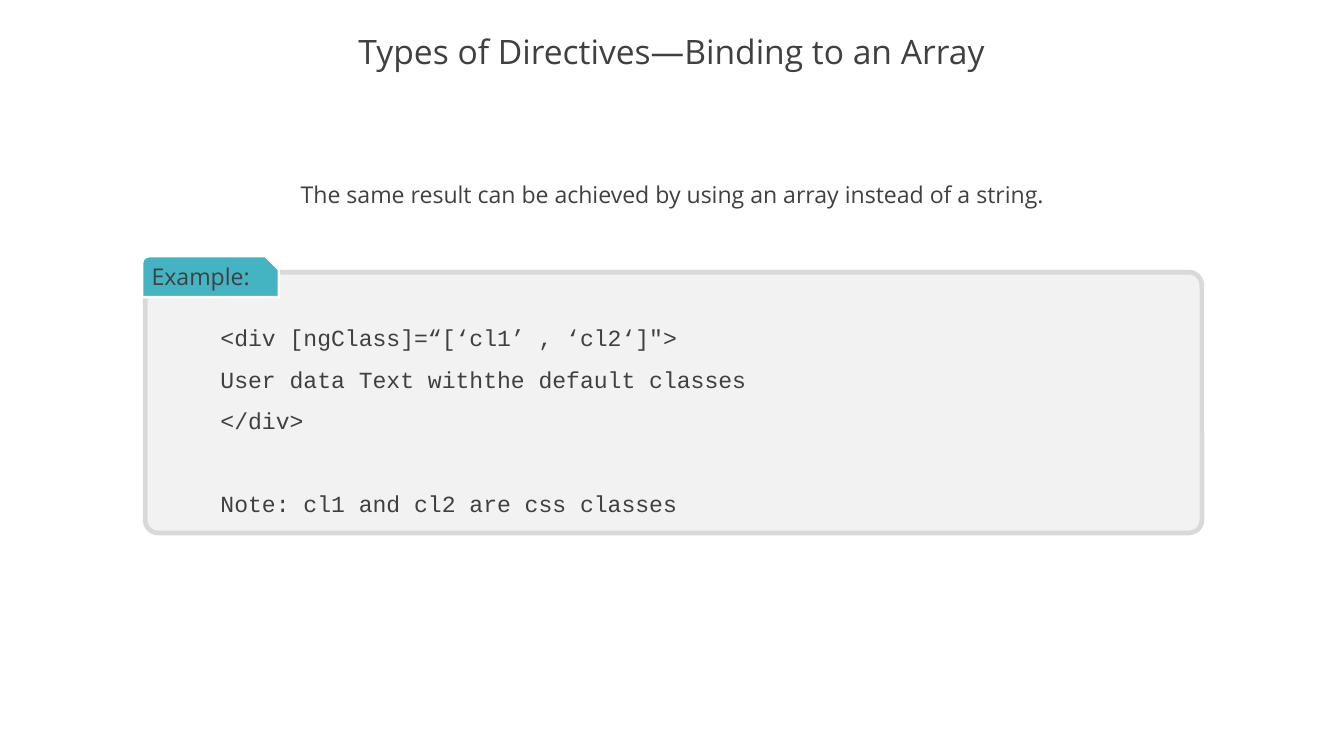
import pptx
import pptx.util
import pptx.dml.color
import pptx.enum.shapes
import pptx.enum.text

Inches = pptx.util.Inches
Pt = pptx.util.Pt
MSO_SHAPE = pptx.enum.shapes.MSO_SHAPE
PP_ALIGN = pptx.enum.text.PP_ALIGN
MSO_ANCHOR = pptx.enum.text.MSO_ANCHOR
colors = {"text": "404040", "panel": "F2F2F2", "border": "D9D9D9", "tab": "44B3C2", "white": "FFFFFF"}

presentation = pptx.Presentation()
presentation.slide_width = Inches(17.78)
presentation.slide_height = Inches(10)
slide = presentation.slides.add_slide(presentation.slide_layouts[6])


def add_box(kind, left, top, width, height, adjustments, fill=None, line=None, line_width=0):
    shape = slide.shapes.add_shape(kind, Inches(left), Inches(top), Inches(width), Inches(height))
    shape.shadow.inherit = False
    for index, value in enumerate(adjustments):
        shape.adjustments[index] = value
    if fill:
        shape.fill.solid()
        shape.fill.fore_color.rgb = pptx.dml.color.RGBColor.from_string(colors[fill])
    else:
        shape.fill.background()
    if line:
        shape.line.color.rgb = pptx.dml.color.RGBColor.from_string(colors[line])
        shape.line.width = Pt(line_width)
    else:
        shape.line.fill.background()
    return shape


def write_text(shape, text, size=22, font="Open Sans", align=PP_ALIGN.LEFT, anchor=MSO_ANCHOR.TOP, spacing=1.0):
    frame = shape.text_frame
    frame.text = text
    frame.vertical_anchor = anchor
    for paragraph in frame.paragraphs:
        paragraph.alignment = align
        paragraph.line_spacing = spacing
        for run in paragraph.runs:
            run.font.size = Pt(size)
            run.font.name = font
            run.font.color.rgb = pptx.dml.color.RGBColor.from_string(colors["text"])


title = slide.shapes.add_textbox(0, Inches(0.35), Inches(17.78), Inches(0.73))
title.text_frame.word_wrap = True
write_text(title, "Types of Directives—Binding to an Array", 32,
           align=PP_ALIGN.CENTER, anchor=MSO_ANCHOR.MIDDLE, spacing=0.9)

introduction = slide.shapes.add_textbox(Inches(3.81), Inches(2.34), Inches(10.17), Inches(0.47))
introduction.text_frame.word_wrap = False
write_text(introduction, "The same result can be achieved by using an array instead of a string.",
           align=PP_ALIGN.CENTER)

add_box(MSO_SHAPE.ROUNDED_RECTANGLE, 1.92, 3.6, 13.98, 3.45, [0.05], "panel", "border", 4.5)

code_lines = [
    "<div [ngClass]=“[‘cl1’ , ‘cl2‘]\">",
    "User data Text withthe default classes",
    "</div>",
    "Note: cl1 and cl2 are css classes",
]
code = add_box(MSO_SHAPE.ROUNDED_RECTANGLE, 2.78, 4.15, 10.14, 2.64, [0.05])
write_text(code, "\n".join(code_lines), font="Courier New", anchor=MSO_ANCHOR.MIDDLE, spacing=1.5)
code.text_frame.paragraphs[-1].space_before = Pt(39.5)

tab = add_box(MSO_SHAPE.SNIP_ROUND_RECTANGLE, 1.88, 3.39, 1.81, 0.54, [0.17, 0.33], "tab", "white", 2.25)
write_text(tab, "Example:")

presentation.save("out.pptx")
